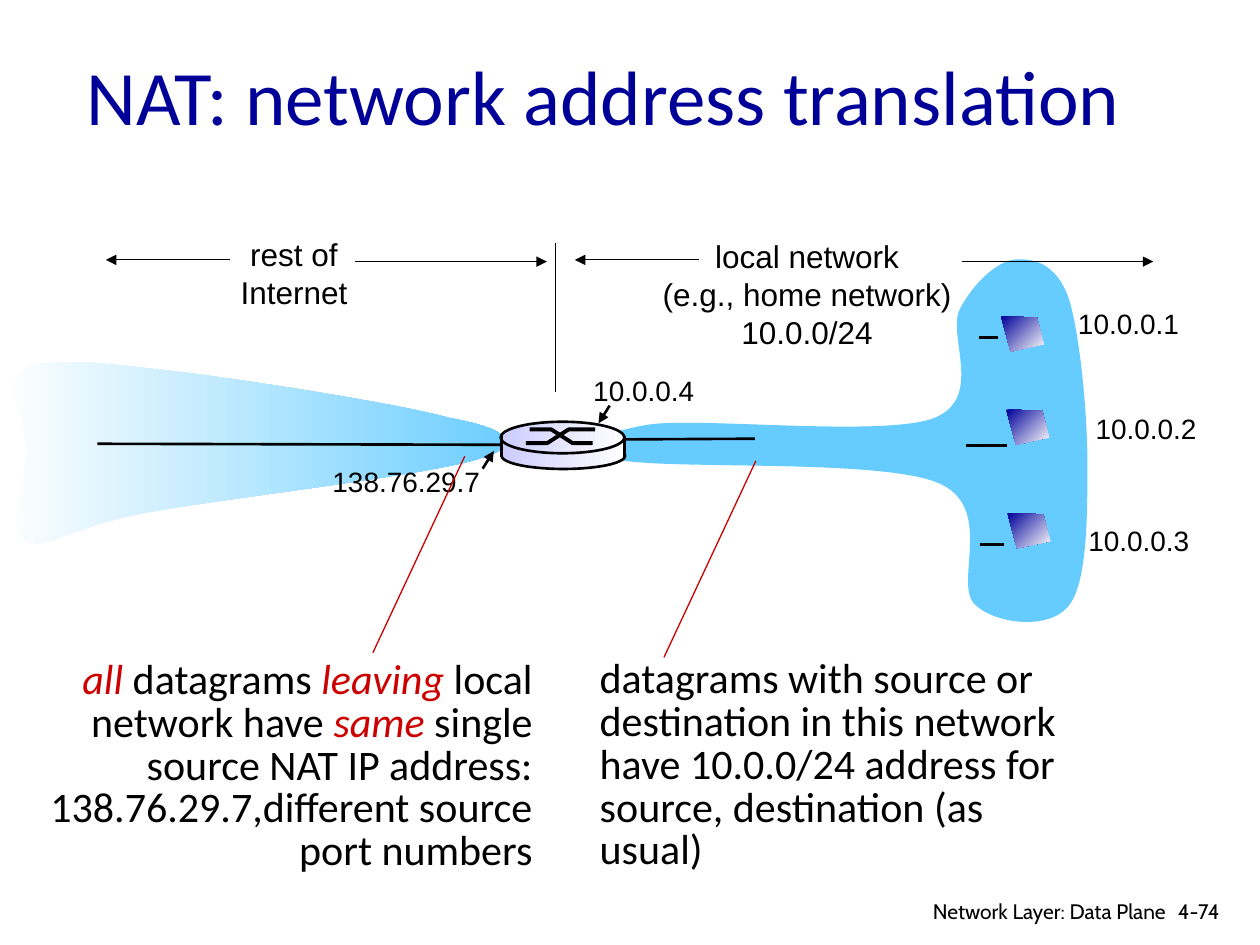
from pptx import Presentation
from pptx.dml.color import RGBColor
from pptx.enum import shapes, text
from pptx.oxml.ns import qn
from pptx.util import Pt
from lxml import etree

BLACK = RGBColor(0x00, 0x00, 0x00)
WHITE = RGBColor(0xFF, 0xFF, 0xFF)
NAVY = RGBColor(0x00, 0x00, 0x99)
RED = RGBColor(0xCC, 0x00, 0x00)
SKY = RGBColor(0x66, 0xCC, 0xFF)
LILAC = RGBColor(0xCC, 0xCC, 0xFF)
LEFT, CENTER, RIGHT = text.PP_ALIGN.LEFT, text.PP_ALIGN.CENTER, text.PP_ALIGN.RIGHT

# Cloud outlines: a start point, then three points (two controls, an end) per curve
LOCAL_CLOUD = [
    (44, 94.6),
    (73.5, 90.3), (177, 101.8), (206.5, 91), (236, 79.5), (213.7, 43.5), (221.6, 28.4),
    (229.6, 13.3), (243.2, 1), (253.3, 0.3), (264, -0.4), (276.4, 2.5), (283.6, 22),
    (290, 42), (294.4, 87.4), (294.4, 117), (294.4, 146.5), (294.4, 185.4), (283.6, 198.3),
    (272.8, 212), (242.5, 209), (230.3, 197.6), (217.3, 186), (242.5, 141.4), (208.7, 127.8),
    (174.8, 114), (55.3, 120.6), (27.2, 114.8), (0, 109), (15.7, 99), (44, 94.6)]
INTERNET_CLOUD = [
    (257, 36),
    (229, 28), (142, 14.4), (101.5, 9.4), (61, 5), (29, 0), (14.4, 8),
    (0, 15), (15, 37), (15, 54), (15, 71), (3, 100), (14.4, 106.5),
    (26, 112), (40, 98), (83, 90), (126, 82), (245, 68.5), (274, 59),
    (303, 50.5), (286.5, 41), (257, 36)]


def set_gradient(sp, first, last, angle=0):
    sp.fill.gradient()
    sp.fill.gradient_angle = angle
    for stop, color in zip(sp.fill.gradient_stops, (first, last)):
        stop.color.rgb = color


def set_line(sp, width, color=BLACK):
    sp.line.color.rgb = color
    sp.line.width = Pt(width)


def add_line(parent, x1, y1, x2, y2, width=1.5, color=BLACK, arrow=False):
    ln = parent.shapes.add_connector(shapes.MSO_CONNECTOR.STRAIGHT,
                                     Pt(x1), Pt(y1), Pt(x2), Pt(y2))
    set_line(ln, width, color)
    if arrow:
        etree.SubElement(ln.line._get_or_add_ln(), qn("a:tailEnd"), type="triangle")
    etree.SubElement(ln._element.spPr, qn("a:effectLst"))


def add_outline(parent, x, y, points, close=True):
    pts = [(Pt(x + px), Pt(y + py)) for px, py in points]
    fb = parent.shapes.build_freeform(*pts[0])
    fb.add_line_segments(pts[1:], close=close)
    sp = fb.convert_to_shape()
    sp.shadow.inherit = False
    sp.line.fill.background()
    return sp


def add_text(s, x, y, w, h, lines, size, font="Arial", color=BLACK,
             align=LEFT, wrap=False, grow=True, spacing=None):
    """Each line is a string or a list of (wording, is_emphasis) pairs."""
    tf = s.shapes.add_textbox(Pt(x), Pt(y), Pt(w), Pt(h)).text_frame
    tf.word_wrap = wrap
    if grow:
        tf.auto_size = text.MSO_AUTO_SIZE.SHAPE_TO_FIT_TEXT
    for i, line in enumerate(lines):
        p = tf.add_paragraph() if i else tf.paragraphs[0]
        p.alignment = align
        if spacing:
            p.line_spacing = spacing
        for wording, emphasis in [(line, False)] if isinstance(line, str) else line:
            r = p.add_run()
            r.text = wording
            r.font.size, r.font.name = Pt(size), font
            r.font.color.rgb = RED if emphasis else color
            r.font.italic = emphasis
    return tf


def add_title(s, x, y, w, h):
    tf = add_text(s, x, y, w, h, ["NAT: network address translation"], 44,
                  "Calibri", NAVY, wrap=True, grow=False)
    tf.vertical_anchor = text.MSO_ANCHOR.MIDDLE


def add_cloud(s, x, y, points):
    sp = add_outline(s, x, y, points)
    # Turn every three line segments into one cubic curve
    segments = list(sp._element.iter(qn("a:lnTo")))
    for i in range(0, len(segments), 3):
        curve = etree.Element(qn("a:cubicBezTo"))
        segments[i].addprevious(curve)
        for segment in segments[i:i + 3]:
            curve.append(segment[0])
            segment.getparent().remove(segment)
    return sp


def add_zone_header(s, x, y):
    # Divider and the extent arrows on both sides of it
    add_line(s, x + 257, y + 8, x + 257, y + 93, 0.75)
    for x1, x2, dy in ((71, 0, 17.5), (142.5, 252, 18.5),
                       (339, 268, 17.5), (489.5, 598.5, 18.5)):
        add_line(s, x + x1, y + dy, x + x2, y + dy, 0.75, arrow=True)
    add_text(s, x + 69.7, y, 75.6, 50.4, ["rest of", "Internet"], 18, align=CENTER)
    add_text(s, x + 311, y + 1, 179.3, 72,
             ["local network", "(e.g., home network)", "10.0.0/24"], 18, align=CENTER)


def add_router(s, x, y, w, h):
    g = s.shapes.add_group_shape()
    oval, rect = shapes.MSO_SHAPE.OVAL, shapes.MSO_SHAPE.RECTANGLE
    # Base, body and top of the drum
    for kind, dx, dy, height in ((oval, 0.5, h - 15, 15), (rect, 0.5, 10, 9.4),
                                 (oval, 0, 0, 18)):
        sp = g.shapes.add_shape(kind, Pt(x + dx), Pt(y + dy), Pt(w), Pt(height))
        sp.shadow.inherit = False
        set_gradient(sp, LILAC, WHITE)
        if kind == oval:
            set_line(sp, 1.5)
        else:
            sp.line.fill.background()
    # Crossing switch paths
    for left, run, start, end in ((14.4, 39.6, 12.2, 4.3), (16.6, 36, 4.3, 12.2)):
        sp = add_outline(g, x + left, y, [(0, start), (12.2, start), (24.5, end),
                                          (run, end)], close=False)
        sp.fill.background()
        set_line(sp, 2.25)
    for side in (0.5, w):
        add_line(g, x + side, y + 8.3, x + side, y + 20)


def add_links(s, x, y):
    # Router links with their interface addresses
    add_line(s, x + 281, y + 41, x + 376, y + 40.5)
    add_line(s, x + 0.2, y + 43.4, x + 239, y + 44)
    add_text(s, x + 276.5, y, 72.7, 26.6, ["10.0.0.4"], 16)
    add_line(s, x + 293, y + 21.6, x + 286.6, y + 31.7, arrow=True)
    add_text(s, x + 127.5, y + 52, 99.4, 26.6, ["138.76.29.7"], 16)
    add_line(s, x + 220.4, y + 57.6, x + 226.8, y + 47.5, arrow=True)


def add_host(s, x, y, address, label, link):
    # Link, address label and screen; label and link are offsets from the screen
    add_line(s, x + link[0], y + link[2], x + link[1], y + link[2])
    add_text(s, x + label[0], y + label[1], 72.7, 26.6, [address], 16)
    sp = add_outline(s, x, y, [(0, 0), (20.6, 0.7), (24.5, 16), (5.5, 20.2)])
    set_gradient(sp, NAVY, WHITE, 315)


def add_explanations(s, x, y):
    add_text(s, x + 314, y - 0.5, 296.6, 105.1,
             ["datagrams with source or", "destination in this network",
              "have 10.0.0/24 address for", "source, destination (as usual)"],
             24, "Calibri", wrap=True, spacing=0.85)
    add_text(s, x - 0.2, y, 290, 129.6,
             [[("all ", True), ("datagrams ", False), ("leaving", True), (" local", False)],
              [("network have ", False), ("same", True),
               (" single source NAT IP address: 138.76.29.7,"
                "different source port numbers", False)]],
             24, "Calibri", align=RIGHT, wrap=True, spacing=0.85)
    # Leaders up to the links
    for dx, dy in ((357.8, 2), (191.5, -0.7)):
        add_line(s, x + dx, y + dy, x + dx + 52.5, y + dy - 112.3, 0.75, RED)


def add_footer(s, x, y):
    add_text(s, x + 164, y, 44, 21.6, ["4-74"], 12, "Cabin", wrap=True, grow=False)
    add_text(s, x, y, 171.4, 18.7, ["Network Layer: Data Plane"], 12, "Cabin",
             align=RIGHT, wrap=True, grow=False)


def main():
    prs = Presentation()
    prs.slide_width, prs.slide_height = Pt(720), Pt(540)
    s = prs.slides.add_slide(prs.slide_layouts[6])

    local = add_cloud(s, 327, 148, LOCAL_CLOUD)
    local.fill.solid()
    local.fill.fore_color.rgb = SKY
    add_title(s, 42.5, 18.3, 637, 71)
    set_gradient(add_cloud(s, 0, 203, INTERNET_CLOUD), WHITE, SKY)

    add_links(s, 55.4, 210.2)
    add_zone_header(s, 60.5, 131)
    add_explanations(s, 21.6, 373.7)
    add_router(s, 286.1, 241, 70.6, 27)
    for x, y, address, label, link in (
            (572, 180.7, "10.0.0.1", (36.9, -9), (-12.5, -1.7, 12.3)),
            (575, 234, "10.0.0.2", (44, -2.2), (-22.7, 0.3, 20.7)),
            (575.7, 293.2, "10.0.0.3", (39.1, 2.4), (-15.5, -1.9, 17.8))):
        add_host(s, x, y, address, label, link)
    add_footer(s, 502, 509.8)
    prs.save("out.pptx")


if __name__ == "__main__":
    main()
